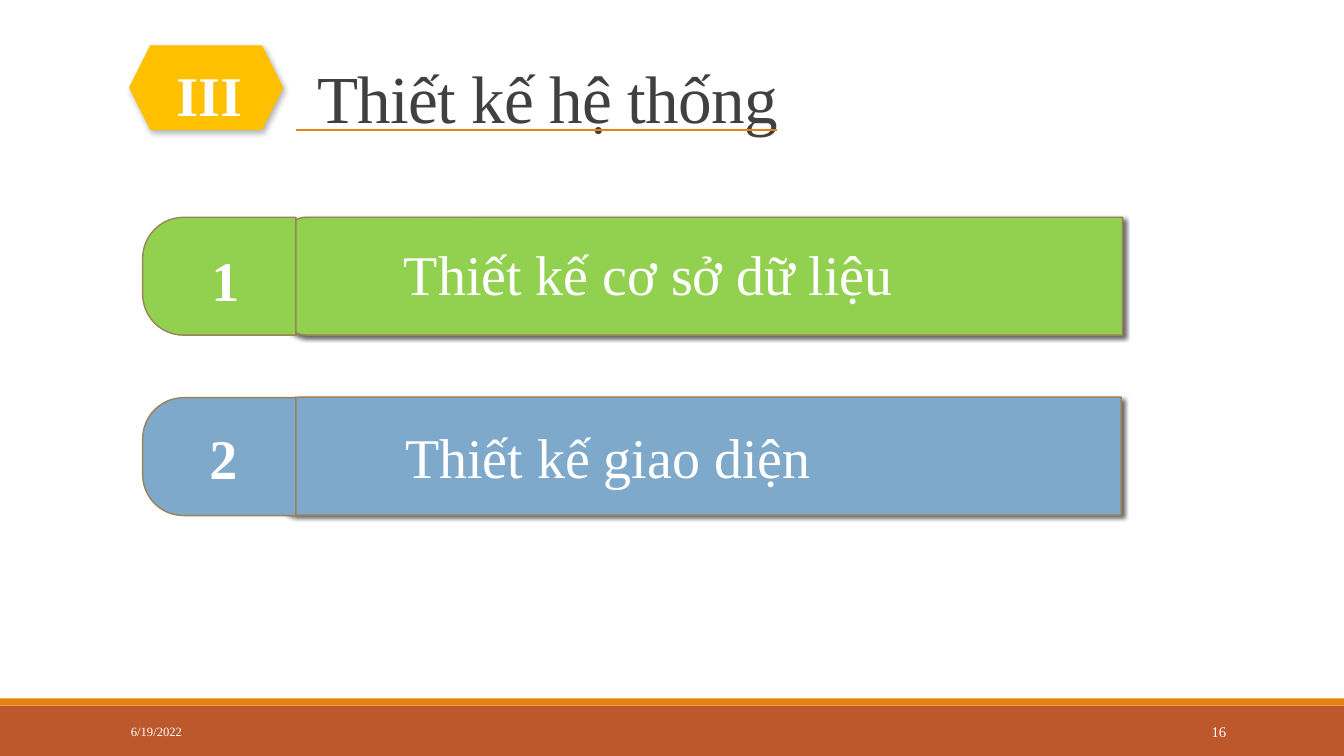
from pptx import Presentation
from pptx.dml.color import RGBColor
from pptx.enum.shapes import MSO_CONNECTOR, MSO_SHAPE as Kind
from pptx.enum.text import MSO_ANCHOR as Anchor, PP_ALIGN as Align
from pptx.oxml import parse_xml
from pptx.util import Inches, Pt

NS = 'xmlns:a="http://schemas.openxmlformats.org/drawingml/2006/main"'
color = RGBColor.from_string

deck = Presentation()
deck.slide_width, deck.slide_height = Inches(13.33), Inches(7.5)
slide = deck.slides.add_slide(deck.slide_layouts[6])
shapes = slide.shapes


def block(kind, left, top, width, height, fill, line=None, shade=None):
    """Add a filled shape; shade is alpha %, blur pt, distance pt, angle."""
    shape = shapes.add_shape(kind, Inches(left), Inches(top),
                             Inches(width), Inches(height))
    shape.shadow.inherit = False
    shape.fill.solid()
    shape.fill.fore_color.rgb = color(fill)
    if line:
        shape.line.color.rgb = color(line)
        shape.line.width = Pt(1)
    else:
        shape.line.fill.background()
    if shade:
        alpha, blur, dist, angle = shade
        effects = shape._element.spPr.find(
            "{http://schemas.openxmlformats.org/drawingml/2006/main}effectLst")
        effects.append(parse_xml(
            f'<a:outerShdw {NS} blurRad="{Pt(blur)}" dist="{Pt(dist)}" '
            f'dir="{angle * 60000}" algn="tl" rotWithShape="0">'
            f'<a:srgbClr val="000000"><a:alpha val="{alpha * 1000}"/>'
            '</a:srgbClr></a:outerShdw>'))
    return shape


def label(text, left, top, width, height, size=40, bold=False, tint="FFFFFF",
          align=Align.CENTER, anchor=Anchor.MIDDLE):
    """Add a text box with one paragraph and return the paragraph."""
    box = shapes.add_textbox(Inches(left), Inches(top),
                             Inches(width), Inches(height))
    frame = box.text_frame
    frame.word_wrap = True
    frame.vertical_anchor = anchor
    para = frame.paragraphs[0]
    para.text = text
    para.alignment = align
    font = para.font
    font.name, font.size, font.bold = "Times New Roman", Pt(size), bold
    font.color.rgb = color(tint)
    return para


# Footer
block(Kind.RECTANGLE, 0, 7, 13.33, 0.5, "BD582C")
block(Kind.RECTANGLE, 0, 6.93, 13.33, 0.07, "E48312")
label("6/19/2022", 1.2, 7.06, 2.7, 0.4, 9, align=Align.LEFT)
label("16", 10.83, 7.06, 1.43, 0.4, 10.5, align=Align.RIGHT)

# Title with its section number
title = label("Thiết kế hệ thống", 3.05, 0.3, 9.21, 1.11, 48, tint="404040",
              align=Align.LEFT, anchor=Anchor.BOTTOM)
title.line_spacing = 0.85
title.runs[0].font._element.set("spc", "-50")
block(Kind.HEXAGON, 1.28, 0.45, 1.53, 0.84, "FFC000", shade=(30, 4.5, 2.6, 53))
label("III", 1.51, 0.55, 1.13, 0.77, bold=True)

# Topic bars: fill, bar top, bar length, tab top, text and number places
topics = [
    ("Thiết kế cơ sở dữ liệu", "92D050", (6.37, -1.44, 8.36), 1.98,
     (2.54, 2.33), (1.85, 2.38)),
    ("Thiết kế giao diện", "7EA9CA", (6.32, 0.31, 8.43), 3.77,
     (2.14, 4.14), (1.83, 4.15)),
]
for num, (text, fill, (left, top, length), tab_top, spot, num_spot) in enumerate(topics, 1):
    bar = block(Kind.ROUND_2_SAME_RECTANGLE, left, top, 1.17, length, fill,
                "9B8357", (60, 3, 2, 45))
    tab = block(Kind.ROUND_2_SAME_RECTANGLE, 1.59, tab_top, 1.17, 1.52, fill,
                "9B8357")
    for part, curve in ((bar, 0.233), (tab, 0.347)):
        part.rotation = 270
        part.adjustments[0] = curve
        part.adjustments[1] = 0
    label(text, *spot, 7.78, 0.77, anchor=Anchor.TOP)
    label(str(num), *num_spot, 0.77, 0.77, bold=True)

# Line under the title
rule = shapes.add_connector(MSO_CONNECTOR.STRAIGHT, Inches(2.94), Inches(1.29),
                            Inches(7.71), Inches(1.29))
rule.line.color.rgb = color("E48312")
rule.line.width = Pt(1.5)
rule._element.spPr.append(parse_xml(f"<a:effectLst {NS}/>"))

deck.save("out.pptx")
